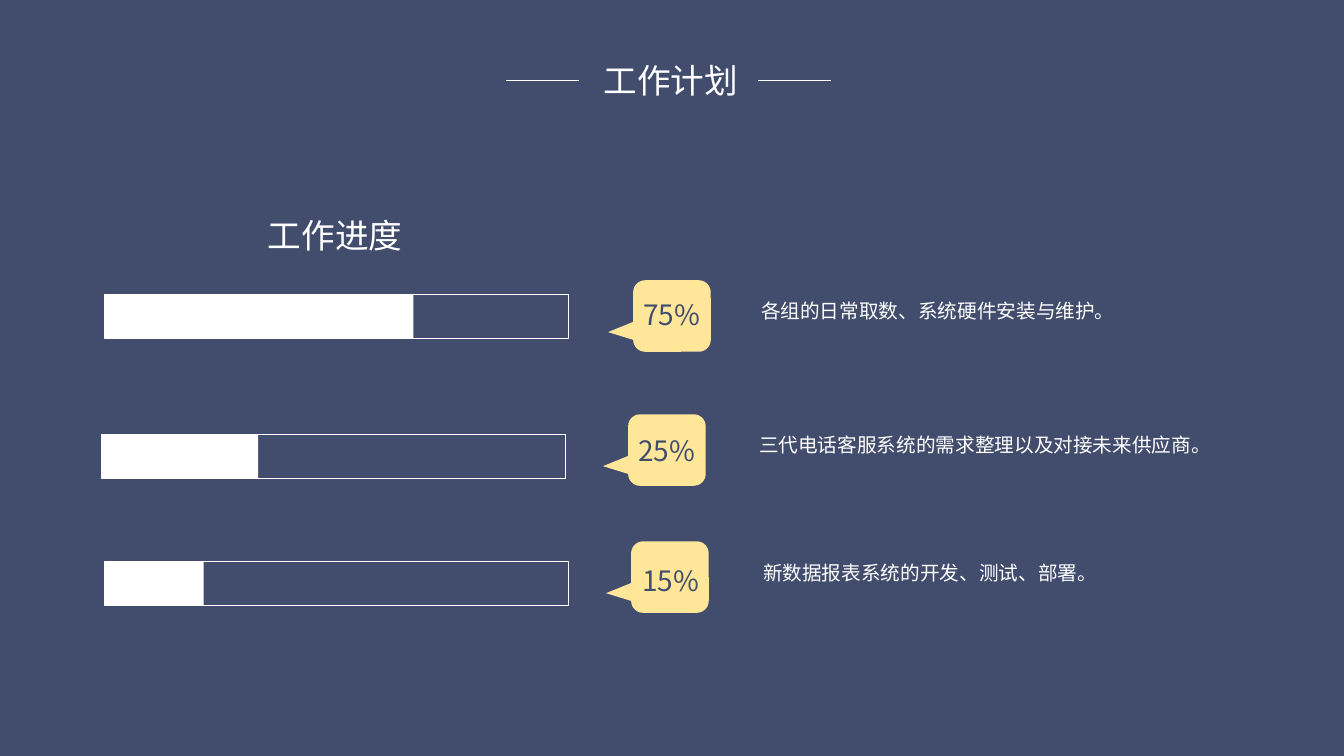
from lxml import etree
from pptx import Presentation
from pptx.dml.color import RGBColor
from pptx.enum.shapes import MSO_CONNECTOR, MSO_SHAPE
from pptx.enum.text import MSO_AUTO_SIZE
from pptx.oxml.ns import qn
from pptx.util import Inches, Pt

NAVY = RGBColor(0x42, 0x4D, 0x6D)
WHITE = RGBColor(0xFF, 0xFF, 0xFF)
GOLD = RGBColor(0xFF, 0xE6, 0x99)
RECT = MSO_SHAPE.RECTANGLE
BUBBLE = MSO_SHAPE.ROUNDED_RECTANGULAR_CALLOUT
STRAIGHT = MSO_CONNECTOR.STRAIGHT
GROW = MSO_AUTO_SIZE.SHAPE_TO_FIT_TEXT
HAN = "Noto Sans CJK SC"

HEAD = {"size": Pt(24), "name": HAN}
RATE = {"size": Pt(20), "name": HAN}
BODY = {"size": Pt(14), "name": "Calibri"}
BAR_W, BAR_H = 4.6, 0.44

ROWS = [
    {"bar": (1.04, 2.92), "done": 3.06, "tip": (6.28, 2.78),
     "rate": ("75%", 6.28, 2.9),
     "task": ("各组的日常取数、系统硬件安装与维护。", 7.45, 2.92)},
    {"bar": (1.01, 4.31), "done": 1.55, "tip": (6.23, 4.11),
     "rate": ("25%", 6.23, 4.25),
     "task": ("三代电话客服系统的需求整理以及对接未来供应商。", 7.43, 4.25)},
    {"bar": (1.04, 5.57), "done": 0.98, "tip": (6.26, 5.37),
     "rate": ("15%", 6.27, 5.54),
     "task": ("新数据报表系统的开发、测试、部署。", 7.47, 5.52)},
]


def add_text(slide, text, x, y, w, h, style, color=WHITE, wrap=False):
    """Add one line of text in a growing box."""
    box = slide.shapes.add_textbox(Inches(x), Inches(y), Inches(w), Inches(h))
    frame = box.text_frame
    frame.word_wrap = wrap
    frame.auto_size = GROW
    run = frame.paragraphs[0].add_run()
    run.text = text
    run.font.color.rgb = color
    for key, value in style.items():
        setattr(run.font, key, value)
    asian = etree.SubElement(run.font._element, qn("a:ea"))
    asian.set("typeface", HAN)


def add_box(slide, kind, x, y, w, h, fill=None, line=None):
    """Add a preset shape with an optional fill and outline."""
    box = slide.shapes.add_shape(
        kind, Inches(x), Inches(y), Inches(w), Inches(h))
    box.shadow.inherit = False
    for part, color in ((box.fill, fill), (box.line.fill, line)):
        if color is None:
            part.background()
        else:
            part.solid()
            part.fore_color.rgb = color
    if line is not None:
        box.line.width = Pt(1)
    return box


def add_rule(slide, x):
    """Add a short rule beside the title."""
    rule = slide.shapes.add_connector(
        STRAIGHT, Inches(x), Inches(0.8), Inches(x + 0.72), Inches(0.8))
    rule.line.color.rgb = WHITE
    rule.line.width = Pt(0.5)
    etree.SubElement(rule._element.spPr, qn("a:effectLst"))


def add_row(slide, row):
    """Add a progress bar with its rate bubble and task."""
    add_box(slide, RECT, *row["bar"], BAR_W, BAR_H, line=WHITE)
    add_box(slide, RECT, *row["bar"], row["done"], BAR_H, fill=WHITE)
    tip = add_box(slide, BUBBLE, *row["tip"], 0.77, 0.71, fill=GOLD)
    for index, value in enumerate((-0.824, 0.225, 0.167)):
        tip.adjustments[index] = value
    add_text(slide, *row["rate"], 0.77, 0.44, RATE, NAVY)
    add_text(slide, *row["task"], 4.88, 0.34, BODY, wrap=True)


def main():
    """Build the work plan slide and save it."""
    deck = Presentation()
    deck.slide_width = Inches(13.33)
    deck.slide_height = Inches(7.5)
    slide = deck.slides.add_slide(deck.slide_layouts[6])
    ground = slide.background.fill
    ground.solid()
    ground.fore_color.rgb = NAVY
    add_text(slide, "工作计划", 5.89, 0.55, 1.53, 0.5, HEAD)
    for x in (5.02, 7.52):
        add_rule(slide, x)
    add_text(slide, "工作进度", 2.56, 2.08, 1.53, 0.5, HEAD)
    for row in ROWS:
        add_row(slide, row)
    deck.save("out.pptx")


if __name__ == "__main__":
    main()
